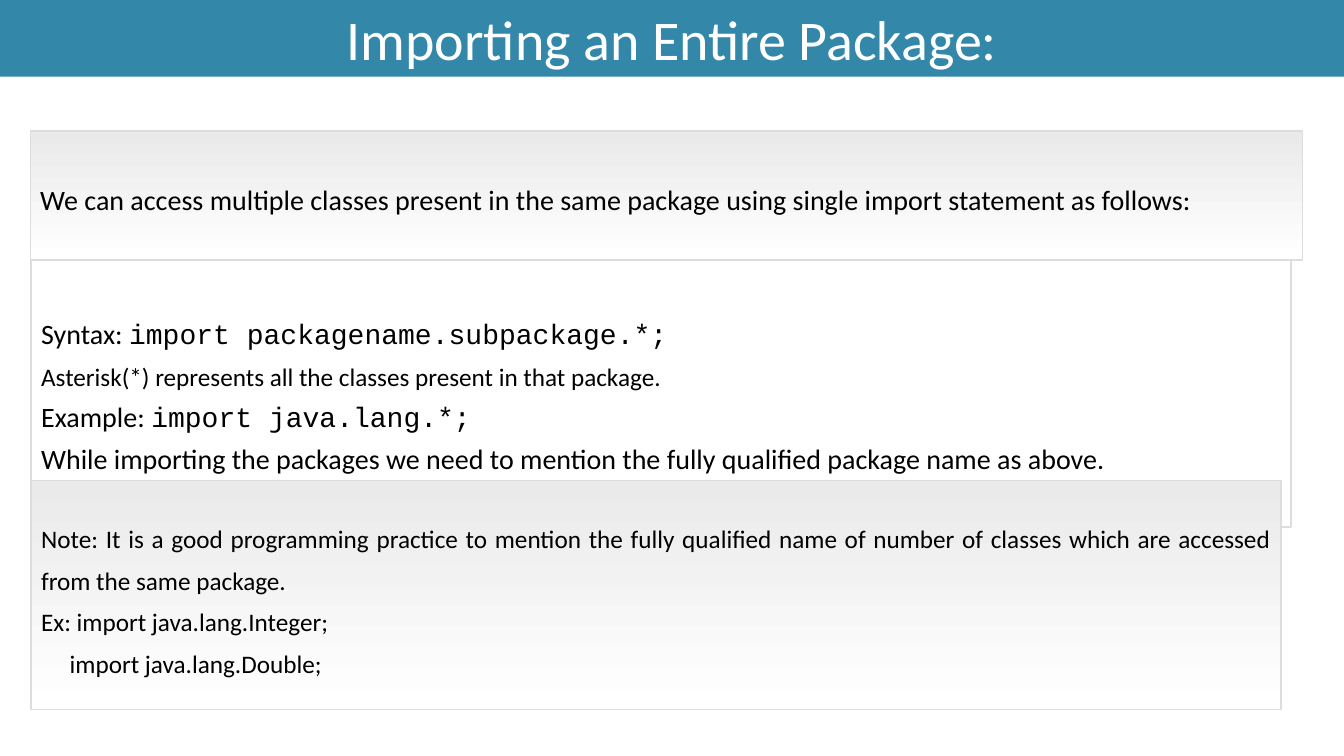
from dataclasses import dataclass

from pptx import Presentation
from pptx.dml.color import RGBColor
from pptx.enum.shapes import MSO_SHAPE
from pptx.enum.text import MSO_ANCHOR, PP_ALIGN
from pptx.shapes.autoshape import Shape
from pptx.slide import Slide
from pptx.text.text import TextFrame
from pptx.util import Pt

TEAL = RGBColor(0x33, 0x88, 0xA9)
GREY = RGBColor(0xDD, 0xDD, 0xDD)
PALE = RGBColor(0xEA, 0xEA, 0xEA)
WHITE = RGBColor(0xFF, 0xFF, 0xFF)
BLACK = RGBColor(0, 0, 0)

WIDTH, HEIGHT = 960, 540
LINE = 29.9
PAD = 7.2
CODE = "Courier New"


@dataclass(frozen=True)
class Row:
    text: str
    size: float = 20
    code: str = ""
    indent: float = 0


@dataclass(frozen=True)
class Panel:
    left: float
    top: float
    width: float
    height: float
    rows: tuple[Row, ...]
    shaded: bool = True
    align: PP_ALIGN = PP_ALIGN.JUSTIFY
    anchor: MSO_ANCHOR = MSO_ANCHOR.MIDDLE
    foot: float = PAD


SYNTAX = Panel(22.3, 180, 900, 196.6, (
    Row("Syntax: ", code="import packagename.subpackage.*;"),
    Row("Asterisk(*) represents all the classes present in that package.", 18),
    Row("Example: ", code="import java.lang.*;"),
    Row("While importing the packages we need to mention the fully qualified "
        "package name as above."),
), shaded=False, align=PP_ALIGN.LEFT, anchor=MSO_ANCHOR.BOTTOM, foot=PAD + LINE)

INTRO = Panel(21.6, 93.6, 908.6, 92.2, (
    Row("We can access multiple classes present in the same package using "
        "single import statement as follows:"),
))

NOTE = Panel(22.3, 343.4, 892.8, 163.4, (
    Row("Note: It is a good programming practice to mention the fully qualified "
        "name of number of classes which are accessed from the same package.", 18),
    Row("Ex: import java.lang.Integer;", 18),
    Row("import java.lang.Double;", 18, indent=20.4),
))


def add_box(slide: Slide, left: float, top: float, width: float, height: float) -> Shape:
    box = slide.shapes.add_shape(
        MSO_SHAPE.RECTANGLE, Pt(left), Pt(top), Pt(width), Pt(height))
    box.shadow.inherit = False
    return box


def set_frame(frame: TextFrame, anchor: MSO_ANCHOR, head: float, foot: float) -> None:
    frame.word_wrap = True
    frame.vertical_anchor = anchor
    frame.margin_left = frame.margin_right = Pt(PAD)
    frame.margin_top, frame.margin_bottom = Pt(head), Pt(foot)


def add_text(frame: TextFrame, index: int, text: str, *, size: float,
             color: RGBColor = BLACK, align: PP_ALIGN = PP_ALIGN.LEFT,
             code: str = "", indent: float = 0, line: float = 0) -> None:
    para = frame.paragraphs[0] if index == 0 else frame.add_paragraph()
    para.alignment = align
    if line:
        para.line_spacing = Pt(line)
    if indent:
        para._p.get_or_add_pPr().set("marL", str(Pt(indent)))
    for part, name in ((text, "Calibri"), (code, CODE)):
        if part:
            run = para.add_run()
            run.text = part
            run.font.name = name
            run.font.size = Pt(size)
            run.font.color.rgb = color


def add_panel(slide: Slide, panel: Panel) -> None:
    box = add_box(slide, panel.left, panel.top, panel.width, panel.height)
    box.line.color.rgb = GREY
    box.line.width = Pt(1)
    if panel.shaded:
        box.fill.gradient()
        box.fill.gradient_angle = 270
        for stop, color, place in zip(box.fill.gradient_stops, (PALE, WHITE), (0, 1)):
            stop.color.rgb = color
            stop.position = place
    else:
        box.fill.background()
    set_frame(box.text_frame, panel.anchor, PAD, panel.foot)
    for index, row in enumerate(panel.rows):
        add_text(box.text_frame, index, row.text, size=row.size, code=row.code,
                 indent=row.indent, align=panel.align, line=LINE)


def add_title(slide: Slide, text: str) -> None:
    bar = add_box(slide, 0, 0, WIDTH, 54.7)
    bar.fill.solid()
    bar.fill.fore_color.rgb = TEAL
    bar.line.fill.background()
    set_frame(bar.text_frame, MSO_ANCHOR.MIDDLE, PAD / 2, PAD / 2)
    add_text(bar.text_frame, 0, text, size=40, color=WHITE, align=PP_ALIGN.CENTER)


def main() -> None:
    deck = Presentation()
    deck.slide_width, deck.slide_height = Pt(WIDTH), Pt(HEIGHT)
    slide = deck.slides.add_slide(deck.slide_layouts[6])
    for panel in (SYNTAX, INTRO, NOTE):
        add_panel(slide, panel)
    add_title(slide, "Importing an Entire Package:")
    deck.save("out.pptx")


if __name__ == "__main__":
    main()
